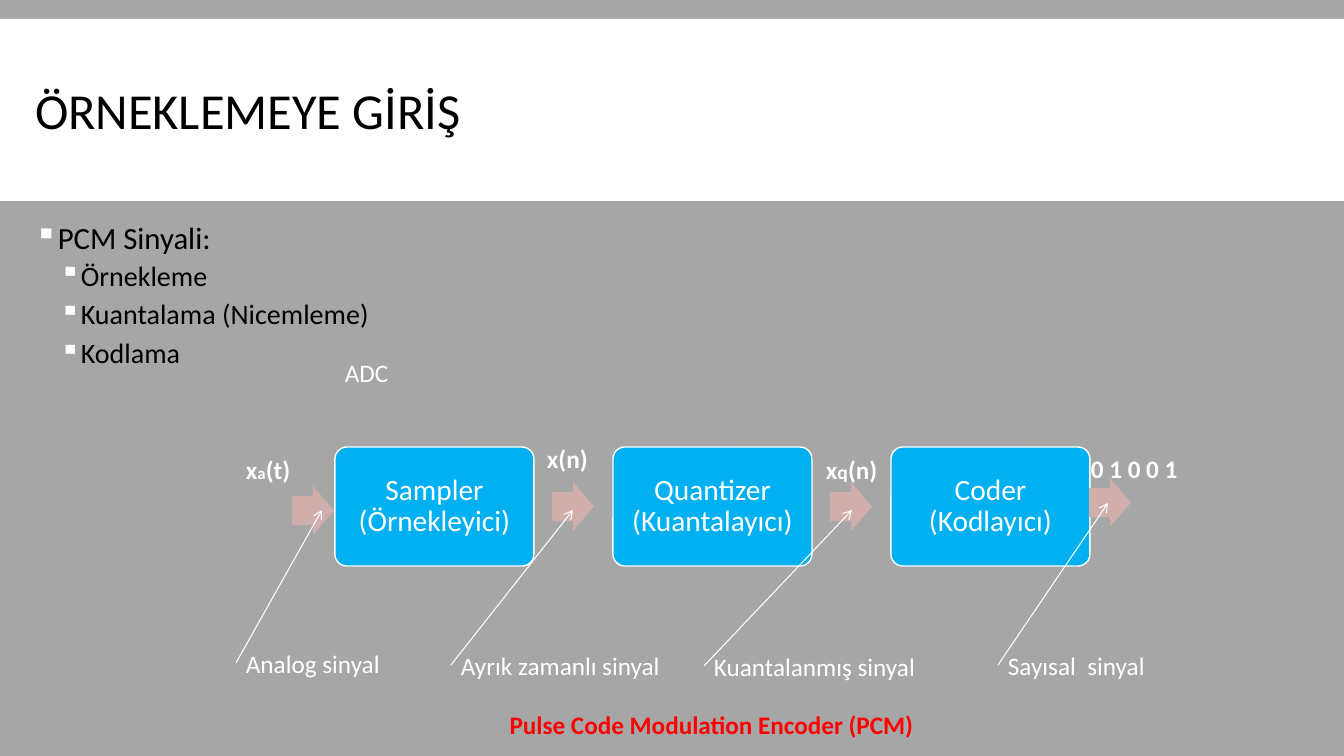
from dataclasses import dataclass

from lxml import etree
from pptx import Presentation
from pptx import util as u
from pptx.dml.color import RGBColor
from pptx.enum import shapes, text
from pptx.oxml import ns


@dataclass(frozen=True)
class Theme:
    font: str = "Calibri"
    background: str = "A6A6A6"
    light: str = "FFFFFF"
    dark: str = "000000"
    stage: str = "00B0F0"
    arrow: str = "CFAEAB"
    accent: str = "FF0000"
    title: int = 36
    bullet: int = 22
    sub_bullet: int = 20
    stage_text: int = 21
    label: int = 18


@dataclass(frozen=True)
class Run:
    text: str
    size: int = Theme.label
    color: str = Theme.light
    bold: bool = False


@dataclass(frozen=True)
class Box:
    left: int
    top: int
    width: int
    height: int = 40


@dataclass(frozen=True)
class Signal:
    symbol: tuple[Run, ...]
    symbol_box: Box
    arrow_box: Box
    caption: str
    caption_box: Box
    target: tuple[int, int]


THEME = Theme()
EMU_PER_PX = 914400 / 100.8

STAGES = ("Sampler (Örnekleyici)", "Quantizer (Kuantalayıcı)", "Coder (Kodlayıcı)")
FIRST_STAGE = Box(335, 447, 199, 119)
STAGE_STEP = 278

BULLETS = (
    (0, "PCM Sinyali:"),
    (1, "Örnekleme"),
    (1, "Kuantalama (Nicemleme)"),
    (1, "Kodlama"),
)

SIGNALS = (
    Signal((Run("x", bold=True), Run("a", 12, bold=True), Run("(t)", bold=True)),
           Box(236, 449, 170), Box(292, 486, 42, 49),
           "Analog sinyal", Box(236, 643, 178), (322, 510)),
    Signal((Run("x(n)", bold=True),),
           Box(537, 438, 105), Box(552, 482, 42, 49),
           "Ayrık zamanlı sinyal", Box(451, 645, 233), (573, 510)),
    Signal((Run("x", bold=True), Run("q", 14, bold=True), Run("(n)", bold=True)),
           Box(816, 449, 105), Box(830, 482, 42, 49),
           "Kuantalanmış sinyal", Box(704, 646, 230), (852, 510)),
    Signal((Run("0 1 0 0 1", bold=True),),
           Box(1081, 448, 118), Box(1089, 478, 42, 49),
           "Sayısal  sinyal", Box(998, 645, 191), (1108, 503)),
)


def px(n: int) -> u.Emu:
    return u.Emu(round(n * EMU_PER_PX))


def place(box: Box) -> tuple[u.Emu, ...]:
    return px(box.left), px(box.top), px(box.width), px(box.height)


def add_runs(p, *runs: Run) -> None:
    for run in runs:
        r = p.add_run()
        r.text = run.text
        r.font.name = THEME.font
        r.font.size = u.Pt(run.size)
        r.font.bold = run.bold
        r.font.color.rgb = RGBColor.from_string(run.color)


def add_shape(slide, kind, box: Box, fill: str, line: str | None = None):
    sp = slide.shapes.add_shape(kind, *place(box))
    sp.shadow.inherit = False
    sp.fill.solid()
    sp.fill.fore_color.rgb = RGBColor.from_string(fill)
    if line:
        sp.line.color.rgb = RGBColor.from_string(line)
        sp.line.width = u.Pt(1)
    else:
        sp.line.fill.background()
    return sp


def add_label(slide, box: Box, *runs: Run, align=text.PP_ALIGN.LEFT):
    sp = slide.shapes.add_textbox(*place(box))
    tf = sp.text_frame
    tf.word_wrap = True
    tf.auto_size = text.MSO_AUTO_SIZE.SHAPE_TO_FIT_TEXT
    p = tf.paragraphs[0]
    p.alignment = align
    add_runs(p, *runs)
    return sp


def add_title(slide) -> None:
    """Fill the title placeholder and lay the white band behind it."""
    band = add_shape(slide, shapes.MSO_SHAPE.RECTANGLE, Box(0, 19, 1344, 182), THEME.light)
    title = slide.shapes.title
    title._element.addprevious(band._element)
    title.left, title.top, title.width, title.height = place(Box(25, 31, 1186, 166))
    tf = title.text_frame
    tf.auto_size = text.MSO_AUTO_SIZE.NONE
    tf.vertical_anchor = text.MSO_ANCHOR.MIDDLE
    p = tf.paragraphs[0]
    p.alignment = text.PP_ALIGN.LEFT
    p.line_spacing = 0.85
    add_runs(p, Run("ÖRNEKLEMEYE GİRİŞ", THEME.title, THEME.dark))


def add_bullets(slide) -> None:
    tf = slide.shapes.add_textbox(*place(Box(25, 218, 1079, 182))).text_frame
    tf.word_wrap = True
    for i, (level, words) in enumerate(BULLETS):
        p = tf.add_paragraph() if i else tf.paragraphs[0]
        p.level = level
        pPr = p._p.get_or_add_pPr()
        pPr.set("marL", str(px(20 + 25 * level)))
        pPr.set("indent", str(-px(20)))
        color = etree.SubElement(pPr, ns.qn("a:buClr"))
        etree.SubElement(color, ns.qn("a:srgbClr"), val=THEME.light)
        etree.SubElement(pPr, ns.qn("a:buChar"), char="▪")
        p.line_spacing = 0.9
        p.space_before = u.Pt(2 if i else 0)
        p.space_after = u.Pt(4 if level else 2)
        size = THEME.sub_bullet if level else THEME.bullet
        add_runs(p, Run(words, size, THEME.dark))


def add_stage(slide, box: Box, name: str) -> None:
    sp = add_shape(slide, shapes.MSO_SHAPE.ROUNDED_RECTANGLE, box, THEME.stage, THEME.light)
    sp.adjustments[0] = 0.1
    tf = sp.text_frame
    tf.word_wrap = True
    tf.vertical_anchor = text.MSO_ANCHOR.MIDDLE
    tf.margin_left = tf.margin_right = tf.margin_top = tf.margin_bottom = px(12)
    p = tf.paragraphs[0]
    p.alignment = text.PP_ALIGN.CENTER
    p.line_spacing = 0.9
    add_runs(p, Run(name, THEME.stage_text))


def add_pointer(slide, caption, target: tuple[int, int]) -> None:
    """Draw a thin arrow from the caption's left side to the target."""
    x, y = map(px, target)
    line = slide.shapes.add_connector(shapes.MSO_CONNECTOR.STRAIGHT, 0, 0, x, y)
    line.begin_connect(caption, 1)
    line.line.color.rgb = RGBColor.from_string(THEME.light)
    line.line.width = u.Pt(0.75)
    etree.SubElement(line.line._get_or_add_ln(), ns.qn("a:tailEnd"), type="arrow")
    etree.SubElement(line._element.spPr, ns.qn("a:effectLst"))


def add_signal(slide, signal: Signal) -> None:
    arrow = add_shape(slide, shapes.MSO_SHAPE.RIGHT_ARROW, signal.arrow_box, THEME.arrow)
    arrow.adjustments[0] = 0.6
    caption = add_label(slide, signal.caption_box, Run(signal.caption))
    add_pointer(slide, caption, signal.target)
    add_label(slide, signal.symbol_box, *signal.symbol)


def main() -> None:
    prs = Presentation()
    prs.slide_width, prs.slide_height = px(1344), px(756)
    slide = prs.slides.add_slide(prs.slide_layouts.get_by_name("Title Only"))
    slide.background.fill.solid()
    slide.background.fill.fore_color.rgb = RGBColor.from_string(THEME.background)
    add_title(slide)
    add_bullets(slide)
    first = FIRST_STAGE
    for i, name in enumerate(STAGES):
        left = first.left + i * STAGE_STEP
        add_stage(slide, Box(left, first.top, first.width, first.height), name)
    add_label(slide, Box(335, 352, 143), Run("ADC"))
    for signal in SIGNALS:
        add_signal(slide, signal)
    add_label(slide, Box(410, 704, 603),
              Run("Pulse Code Modulation Encoder (PCM)", color=THEME.accent, bold=True),
              align=text.PP_ALIGN.CENTER)
    prs.save("out.pptx")


if __name__ == "__main__":
    main()
